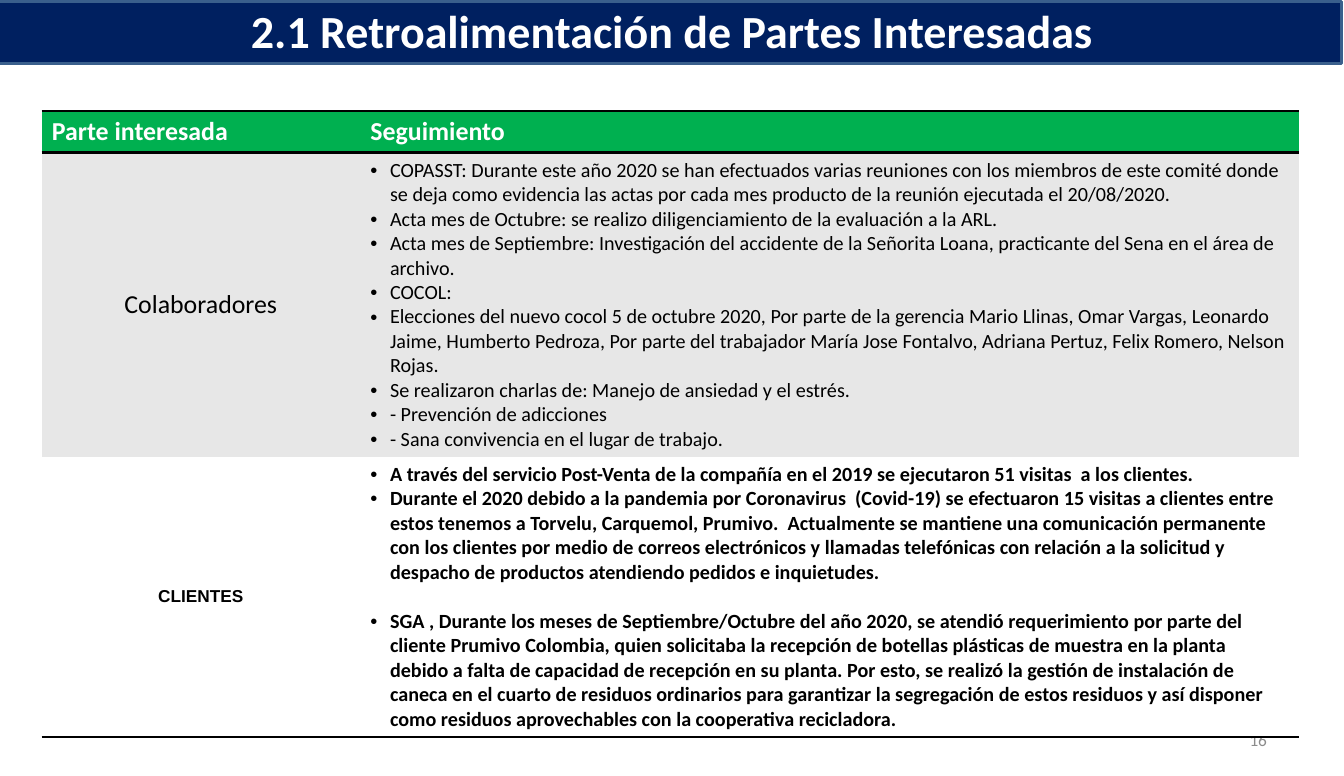
"""Build the slide on feedback from interested parties."""
from dataclasses import dataclass

from lxml.etree import SubElement
from pptx import Presentation
from pptx.dml.color import RGBColor
from pptx.enum.shapes import MSO_SHAPE as Shape
from pptx.enum.text import MSO_ANCHOR as Anchor, MSO_AUTO_SIZE as AutoSize, PP_ALIGN as Align
from pptx.oxml.ns import qn
from pptx.util import Cm, Pt


@dataclass(frozen=True)
class Theme:
    font: str = "Calibri"
    label_font: str = "Arial"
    navy: str = "002060"
    bar_edge: str = "3A5F8C"
    green: str = "00B050"
    band: str = "E7E7E7"
    white: str = "FFFFFF"
    black: str = "000000"
    grey: str = "8C8C8C"
    title_size: int = 32
    heading_size: int = 18
    body_size: int = 14
    small_size: int = 12
    rule_width: int = 2


THEME = Theme()
NO_STYLE = "{2D5ABB26-0587-4C30-8999-92F81FD0307C}"
BULLET_INDENT = Cm(0.48)
SECTION_GAP = 17

HEADINGS = ["Parte interesada", "Seguimiento"]
STAFF_ITEMS = [
    "COPASST: Durante este año 2020 se han efectuados varias reuniones con los miembros de este "
    "comité donde se deja como evidencia las actas por cada mes producto de la reunión ejecutada "
    "el 20/08/2020.",
    "Acta mes de Octubre: se realizo diligenciamiento de la evaluación a la ARL.",
    "Acta mes de Septiembre: Investigación del accidente de la Señorita Loana, practicante del "
    "Sena en el área de archivo.",
    "COCOL:",
    "Elecciones del nuevo cocol 5 de octubre 2020, Por parte de la gerencia Mario Llinas, Omar "
    "Vargas, Leonardo Jaime, Humberto Pedroza, Por parte del trabajador María Jose Fontalvo, "
    "Adriana Pertuz, Felix Romero, Nelson Rojas.",
    "Se realizaron charlas de: Manejo de ansiedad y el estrés.",
    "- Prevención de adicciones",
    "- Sana convivencia en el lugar de trabajo.",
]
CLIENT_ITEMS = [
    "A través del servicio Post-Venta de la compañía en el 2019 se ejecutaron 51 visitas  a los "
    "clientes.",
    "Durante el 2020 debido a la pandemia por Coronavirus  (Covid-19) se efectuaron 15 visitas a "
    "clientes entre estos tenemos a Torvelu, Carquemol, Prumivo.  Actualmente se mantiene una "
    "comunicación permanente con los clientes por medio de correos electrónicos y llamadas "
    "telefónicas con relación a la solicitud y despacho de productos atendiendo pedidos e "
    "inquietudes.",
    "SGA , Durante los meses de Septiembre/Octubre del año 2020, se atendió requerimiento por "
    "parte del cliente Prumivo Colombia, quien solicitaba la recepción de botellas plásticas de "
    "muestra en la planta debido a falta de capacidad de recepción en su planta. Por esto, se "
    "realizó la gestión de instalación de caneca en el cuarto de residuos ordinarios para "
    "garantizar la segregación de estos residuos y así disponer como residuos aprovechables con "
    "la cooperativa recicladora.",
]


def color(value):
    return RGBColor.from_string(value)


def write(paragraph, text, size, ink, bold=False, align=Align.LEFT, font=THEME.font):
    paragraph.alignment = align
    run = paragraph.add_run()
    run.text = text
    run.font.name = font
    run.font.size = Pt(size)
    run.font.bold = bold
    run.font.color.rgb = color(ink)


def add_page_number(slide, number):
    box = slide.shapes.add_textbox(Cm(23.65), Cm(17.65), Cm(7.7), Cm(1.02))
    frame = box.text_frame
    frame.word_wrap = True
    frame.vertical_anchor = Anchor.MIDDLE
    write(frame.paragraphs[0], number, THEME.small_size, THEME.grey, align=Align.RIGHT)


def add_title_bar(slide):
    bar = slide.shapes.add_shape(Shape.RECTANGLE, Cm(-0.05), Cm(0.03), Cm(32.99), Cm(1.52))
    bar.shadow.inherit = False
    bar.fill.solid()
    bar.fill.fore_color.rgb = color(THEME.navy)
    bar.line.color.rgb = color(THEME.bar_edge)
    bar.line.width = Pt(THEME.rule_width)


def set_title(slide, text):
    title = slide.shapes.title
    title.left, title.top, title.width, title.height = Cm(1.68), Cm(-0.03), Cm(29.64), Cm(1.55)
    title.element.getparent().append(title.element)
    frame = title.text_frame
    frame.auto_size = AutoSize.NONE
    frame.vertical_anchor = Anchor.MIDDLE
    write(frame.paragraphs[0], text, THEME.title_size, THEME.white, True, Align.CENTER)


def rule_cell(cell, sides):
    properties = cell._tc.get_or_add_tcPr()
    for side in sides:
        line = SubElement(properties, qn(f"a:ln{side}"), w=str(Pt(THEME.rule_width)))
        SubElement(SubElement(line, qn("a:solidFill")), qn("a:srgbClr"), val=THEME.black)


def style_row(row, fill, sides=""):
    for cell in row.cells:
        rule_cell(cell, sides)
        cell.fill.solid()
        cell.fill.fore_color.rgb = color(fill)
    row.cells[0].vertical_anchor = Anchor.MIDDLE


def fill_bullets(cell, items, bold=False, gap_before=None):
    frame = cell.text_frame
    for index, item in enumerate(items):
        paragraph = frame.add_paragraph() if index else frame.paragraphs[0]
        properties = paragraph._p.get_or_add_pPr()
        properties.set("marL", str(BULLET_INDENT))
        properties.set("indent", str(-BULLET_INDENT))
        SubElement(properties, qn("a:buFont"), typeface="Arial")
        SubElement(properties, qn("a:buChar"), char="•")
        if index == gap_before:
            paragraph.space_before = Pt(SECTION_GAP)
        write(paragraph, item, THEME.body_size, THEME.black, bold)


def add_feedback_table(slide):
    widths, heights = [Cm(7.82), Cm(23.04)], [Cm(1), Cm(7.45), Cm(6.87)]
    table = slide.shapes.add_table(
        len(heights), len(widths), Cm(1.02), Cm(2.72), sum(widths), sum(heights)).table
    table._tbl.tblPr.find(qn("a:tableStyleId")).text = NO_STYLE
    table.horz_banding = False
    for column, width in zip(table.columns, widths):
        column.width = width
    for row, height in zip(table.rows, heights):
        row.height = height

    header, staff, clients = table.rows
    style_row(header, THEME.green, "TB")
    style_row(staff, THEME.band)
    style_row(clients, THEME.white, "B")

    for cell, heading in zip(header.cells, HEADINGS):
        write(cell.text_frame.paragraphs[0], heading, THEME.heading_size, THEME.white, True)
    staff_label, staff_notes = staff.cells
    write(staff_label.text_frame.paragraphs[0], "Colaboradores", THEME.heading_size,
          THEME.black, align=Align.CENTER)
    fill_bullets(staff_notes, STAFF_ITEMS)
    client_label, client_notes = clients.cells
    client_label.margin_left = client_label.margin_right = 0
    client_label.margin_top = client_label.margin_bottom = 0
    write(client_label.text_frame.paragraphs[0], "CLIENTES", THEME.small_size,
          THEME.black, True, Align.CENTER, THEME.label_font)
    fill_bullets(client_notes, CLIENT_ITEMS, bold=True, gap_before=2)


def main():
    presentation = Presentation()
    presentation.slide_width, presentation.slide_height = Cm(32.99), Cm(19.05)
    slide = presentation.slides.add_slide(presentation.slide_layouts.get_by_name("Title Only"))
    add_page_number(slide, "16")
    add_title_bar(slide)
    set_title(slide, "2.1 Retroalimentación de Partes Interesadas")
    add_feedback_table(slide)
    presentation.save("out.pptx")


if __name__ == "__main__":
    main()
